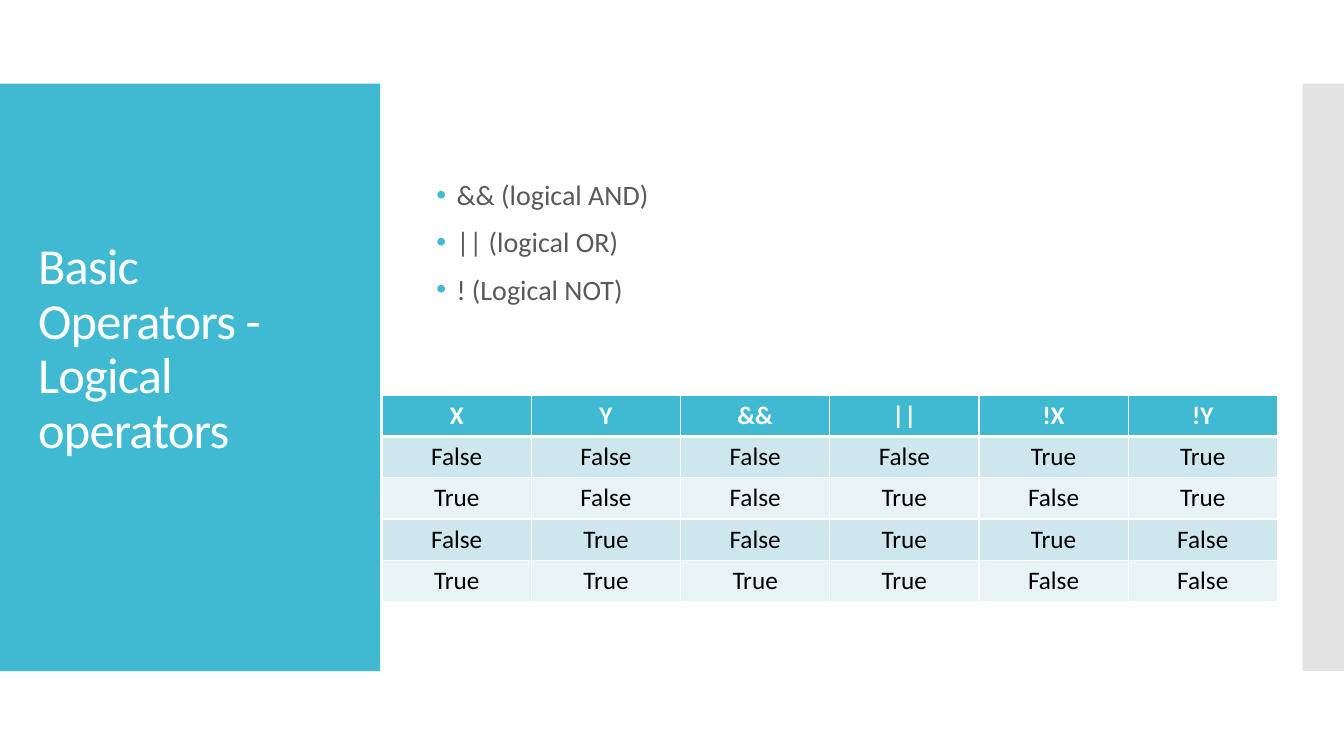
from lxml import etree
from pptx import Presentation
from pptx.dml.color import RGBColor
from pptx.enum.shapes import MSO_SHAPE
from pptx.enum.text import MSO_ANCHOR, PP_ALIGN
from pptx.oxml.ns import qn
from pptx.util import Inches, Pt

RECTANGLE = MSO_SHAPE.RECTANGLE
MIDDLE = MSO_ANCHOR.MIDDLE
CENTER = PP_ALIGN.CENTER

# Content
TITLE = "Basic Operators - Logical operators"
OPERATORS = ["&& (logical AND)", "|| (logical OR)", "! (Logical NOT)"]
TRUTH_TABLE = [
    ("X", "Y", "&&", "||", "!X", "!Y"),
    ("False", "False", "False", "False", "True", "True"),
    ("True", "False", "False", "True", "False", "True"),
    ("False", "True", "False", "True", "True", "False"),
    ("True", "True", "True", "True", "False", "False"),
]

# Style
FONT = "Calibri"
TEAL = RGBColor(0x40, 0xBA, 0xD2)
SILVER = RGBColor(0xC8, 0xC8, 0xC8)
WHITE = RGBColor(0xFF, 0xFF, 0xFF)
BLACK = RGBColor(0, 0, 0)
GRAY = RGBColor(0x59, 0x59, 0x59)
BAND_DARK = RGBColor(0xCE, 0xE6, 0xEE)
BAND_LIGHT = RGBColor(0xE8, 0xF3, 0xF6)

# Layout in inches
BAND_TOP, BAND_HEIGHT = 0.83, 5.83
COLUMN_WIDTH, ROW_HEIGHT = 1.48, 0.41


def add_element(parent, tag, **attributes):
    element = etree.SubElement(parent, qn(tag))
    for name, value in attributes.items():
        element.set(name, str(value))
    return element


def add_band(page, left, width, color):
    band = page.shapes.add_shape(RECTANGLE, Inches(left), Inches(BAND_TOP),
                                 Inches(width), Inches(BAND_HEIGHT))
    band.shadow.inherit = False
    band.fill.solid()
    band.fill.fore_color.rgb = color
    band.line.fill.background()
    return band


def add_text(page, lines, left, top, width, height, size, color):
    box = page.shapes.add_textbox(Inches(left), Inches(top), Inches(width), Inches(height))
    frame = box.text_frame
    frame.word_wrap = True
    frame.vertical_anchor = MIDDLE
    frame.text = "\n".join(lines)
    for para in frame.paragraphs:
        para.line_spacing = 0.9
        style_runs(para, size, color)
    return frame


def style_runs(para, size, color, bold=False):
    for span in para.runs:
        span.font.name = FONT
        span.font.size = Pt(size)
        span.font.bold = bold
        span.font.color.rgb = color


def add_bullet(para):
    para.space_before = Pt(12)
    properties = para._p.get_or_add_pPr()
    properties.set("marL", str(Inches(0.2)))
    properties.set("indent", str(-Inches(0.2)))
    color = add_element(properties, "a:buClr")
    add_element(color, "a:srgbClr", val=TEAL)
    add_element(properties, "a:buFont", typeface="Arial")
    add_element(properties, "a:buChar", char="•")


def set_borders(cell, widths):
    properties = cell._tc.get_or_add_tcPr()
    for position, (side, width) in enumerate(widths.items()):
        line = etree.Element(qn("a:ln" + side), w=str(Pt(width)))
        add_element(add_element(line, "a:solidFill"), "a:srgbClr", val=WHITE)
        properties.insert(position, line)


def add_truth_table(page, left, top):
    rows, columns = len(TRUTH_TABLE), len(TRUTH_TABLE[0])
    table = page.shapes.add_table(rows, columns, Inches(left), Inches(top),
                                  Inches(columns * COLUMN_WIDTH),
                                  Inches(rows * ROW_HEIGHT)).table
    for column in table.columns:
        column.width = Inches(COLUMN_WIDTH)
    for row_index, values in enumerate(TRUTH_TABLE):
        table.rows[row_index].height = Inches(ROW_HEIGHT)
        header = row_index == 0
        fill = TEAL if header else BAND_DARK if row_index % 2 else BAND_LIGHT
        widths = {"L": 0.96, "R": 0.96,
                  "T": 3 if row_index == 1 else 0.96, "B": 3 if header else 0.96}
        for column_index, value in enumerate(values):
            cell = table.cell(row_index, column_index)
            cell.text = value
            cell.fill.solid()
            cell.fill.fore_color.rgb = fill
            para = cell.text_frame.paragraphs[0]
            para.alignment = CENTER
            style_runs(para, 18, WHITE if header else BLACK, header)
            set_borders(cell, widths)


def main():
    deck = Presentation()
    deck.slide_width, deck.slide_height = Inches(13.33), Inches(7.5)
    page = deck.slides.add_slide(deck.slide_layouts[6])

    # Side bands
    add_band(page, 0, 3.77, TEAL)
    edge = add_band(page, 12.92, 0.41, SILVER)
    edge_color = edge._element.spPr.find(qn("a:solidFill")).find(qn("a:srgbClr"))
    add_element(edge_color, "a:alpha", val=50000)

    # Title, raised by a deeper bottom margin
    title = add_text(page, [TITLE], 0.28, 1.23, 3.22, 5.03, 36, WHITE)
    title.margin_bottom = Inches(0.59)
    for span in title.paragraphs[0].runs:
        span.font._element.set("spc", "-60")

    # Operator list
    operators = add_text(page, OPERATORS, 4.23, 1.57, 8, 1.7, 20, GRAY)
    for para in operators.paragraphs:
        add_bullet(para)

    add_truth_table(page, 3.79, 3.92)
    deck.save("out.pptx")


if __name__ == "__main__":
    main()
